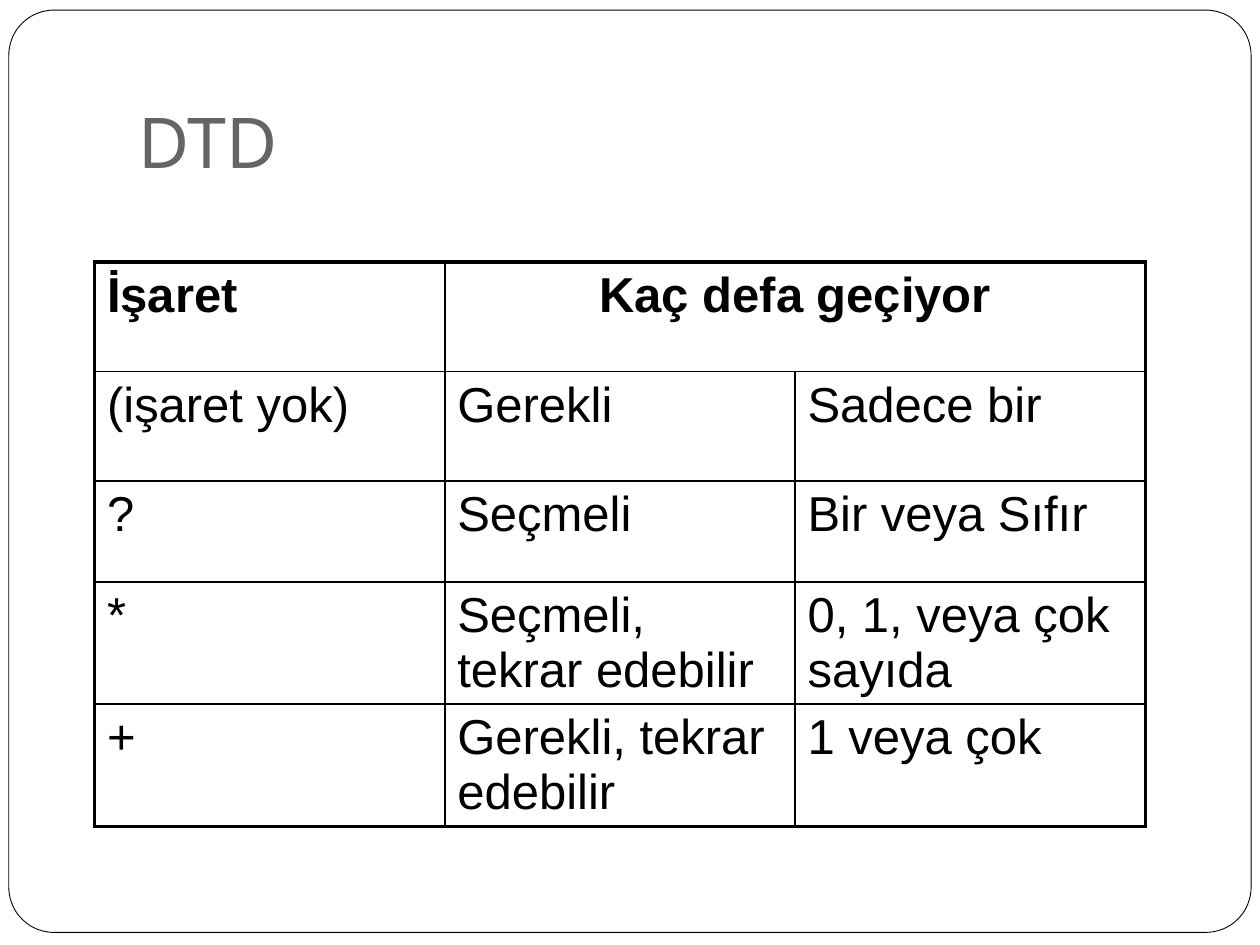
from lxml import etree
from pptx import Presentation
from pptx.dml.color import RGBColor
from pptx.enum.shapes import MSO_SHAPE
from pptx.enum.text import MSO_ANCHOR, PP_ALIGN
from pptx.oxml.ns import qn
from pptx.util import Inches, Pt

BLACK = RGBColor(0x00, 0x00, 0x00)
WHITE = RGBColor(0xFF, 0xFF, 0xFF)
GREY = RGBColor(0x69, 0x64, 0x64)

ROWS = [
    ("İşaret", "Kaç defa geçiyor", ""),
    ("(işaret yok)", "Gerekli", "Sadece bir"),
    ("?", "Seçmeli", "Bir veya Sıfır"),
    ("*", "Seçmeli, tekrar edebilir", "0, 1, veya çok sayıda"),
    ("+", "Gerekli, tekrar edebilir", "1 veya çok"),
]
ROW_HEIGHTS = [0.87, 0.87, 0.8, 0.97, 0.97]
COLUMN_WIDTH = 2.78
THIN, THICK = 1, 2.25


def set_border(cell, side, points):
    """Draw a solid black border on one side (L, R, T or B) of a cell."""
    line = etree.SubElement(cell._tc.get_or_add_tcPr(), qn(f"a:ln{side}"), w=str(Pt(points)))
    fill = etree.SubElement(line, qn("a:solidFill"))
    etree.SubElement(fill, qn("a:srgbClr"), val=str(BLACK))


prs = Presentation()
prs.slide_width, prs.slide_height = Inches(10), Inches(7.5)
slide = prs.slides.add_slide(prs.slide_layouts[5])

frame = slide.shapes.add_shape(
    MSO_SHAPE.ROUNDED_RECTANGLE, Inches(0.07), Inches(0.08), Inches(9.86), Inches(7.32))
frame.adjustments[0] = 0.049
frame.shadow.inherit = False
frame.fill.solid()
frame.fill.fore_color.rgb = WHITE
frame.line.color.rgb = BLACK
frame.line.width = Pt(0.5)

title = slide.shapes.title
frame._element.addnext(title._element)
title.left, title.top = Inches(1), Inches(0.3)
title.width, title.height = Inches(8.5), Inches(1.25)
title_frame = title.text_frame
title_frame.vertical_anchor = MSO_ANCHOR.BOTTOM
title_frame.margin_bottom = Inches(0.1)
title_frame.text = "DTD"
heading = title_frame.paragraphs[0]
heading.alignment = PP_ALIGN.LEFT
heading.font.name = "Noto Sans"
heading.font.size = Pt(40)
heading.font.color.rgb = GREY

row_count, column_count = len(ROWS), len(ROWS[0])
table = slide.shapes.add_table(
    row_count, column_count, Inches(0.75), Inches(2.08),
    Inches(COLUMN_WIDTH * column_count), Inches(sum(ROW_HEIGHTS))).table
table.horz_banding = False
for column in table.columns:
    column.width = Inches(COLUMN_WIDTH)
for row, height in zip(table.rows, ROW_HEIGHTS):
    row.height = Inches(height)
table.cell(0, 1).merge(table.cell(0, 2))

for r, texts in enumerate(ROWS):
    for c, text in enumerate(texts):
        cell = table.cell(r, c)
        spans_to = c + cell.span_width if cell.is_merge_origin else c + 1
        set_border(cell, "L", THICK if c == 0 else THIN)
        set_border(cell, "R", THICK if spans_to == column_count else THIN)
        set_border(cell, "T", THICK if r == 0 else THIN)
        set_border(cell, "B", THICK if r == row_count - 1 else THIN)
        cell.fill.background()
        if cell.is_spanned:
            continue
        cell.text = text
        paragraph = cell.text_frame.paragraphs[0]
        paragraph.alignment = PP_ALIGN.CENTER if cell.is_merge_origin else PP_ALIGN.LEFT
        font = paragraph.runs[0].font
        font.name = "Arial"
        font.size = Pt(28)
        font.bold = r == 0
        font.color.rgb = BLACK

prs.save("out.pptx")
